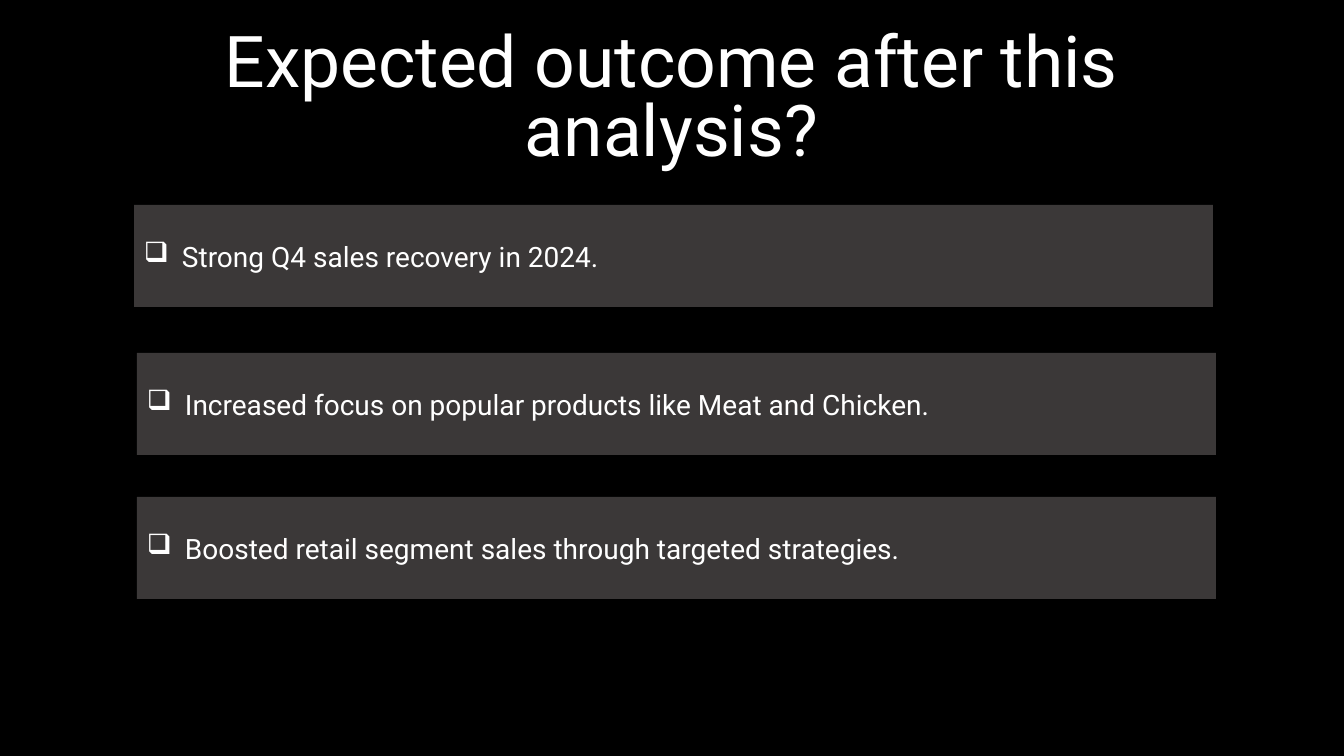
from dataclasses import dataclass

from lxml import etree
from pptx import Presentation
from pptx.dml.color import RGBColor
from pptx.enum.shapes import MSO_SHAPE
from pptx.enum.text import MSO_ANCHOR, MSO_AUTO_SIZE, PP_ALIGN
from pptx.oxml.ns import qn
from pptx.util import Emu, Pt

RECTANGLE = MSO_SHAPE.RECTANGLE
MIDDLE, BOTTOM = MSO_ANCHOR.MIDDLE, MSO_ANCHOR.BOTTOM
LEFT, CENTER = PP_ALIGN.LEFT, PP_ALIGN.CENTER
NO_AUTOFIT = MSO_AUTO_SIZE.NONE

PIXELS_PER_INCH = 100.8
FONT = "Roboto"
BLACK, WHITE, CHARCOAL = "000000", "FFFFFF", "3B3838"
BOX_WIDTH, BOX_HEIGHT = 1079, 102
BULLET, BULLET_INDENT = "❑", 38


@dataclass
class Outcome:
    left: int
    top: int
    text: str


OUTCOMES = [
    Outcome(134, 205, "Strong Q4 sales recovery in 2024."),
    Outcome(137, 353, "Increased focus on popular products like Meat and Chicken."),
    Outcome(137, 497, "Boosted retail segment sales through targeted strategies."),
]


def px(length: int) -> Emu:
    return Emu(round(length * 914400 / PIXELS_PER_INCH))


def color(hex_string: str) -> RGBColor:
    return RGBColor.from_string(hex_string)


def write_text(shape, text: str, *, size: int, align, anchor, line_spacing: float = 1.0):
    frame = shape.text_frame
    frame.word_wrap = True
    frame.auto_size = NO_AUTOFIT
    frame.vertical_anchor = anchor
    paragraph = frame.paragraphs[0]
    paragraph.alignment = align
    paragraph.line_spacing = line_spacing
    run = paragraph.add_run()
    run.text = text
    run.font.name = FONT
    run.font.size = Pt(size)
    run.font.color.rgb = color(WHITE)
    return paragraph


def add_bullet(paragraph) -> None:
    properties = paragraph._p.get_or_add_pPr()
    properties.set("marL", str(px(BULLET_INDENT)))
    properties.set("indent", str(-px(BULLET_INDENT)))
    etree.SubElement(properties, qn("a:buChar"), char=BULLET)


def add_title(slide, text: str) -> None:
    title = slide.shapes.title
    title.left, title.top, title.width, title.height = map(px, (101, 68, 1141, 107))
    write_text(title, text, size=51, align=CENTER, anchor=BOTTOM, line_spacing=0.8)


def add_outcome(slide, outcome: Outcome) -> None:
    bounds = map(px, (outcome.left, outcome.top, BOX_WIDTH, BOX_HEIGHT))
    box = slide.shapes.add_shape(RECTANGLE, *bounds)
    box.shadow.inherit = False
    box.fill.solid()
    box.fill.fore_color.rgb = color(CHARCOAL)
    box.line.fill.background()
    add_bullet(write_text(box, outcome.text, size=20, align=LEFT, anchor=MIDDLE))


def main() -> None:
    presentation = Presentation()
    presentation.slide_width, presentation.slide_height = px(1344), px(756)
    title_only = presentation.slide_layouts[5]
    slide = presentation.slides.add_slide(title_only)
    slide.background.fill.solid()
    slide.background.fill.fore_color.rgb = color(BLACK)
    add_title(slide, "Expected outcome after this analysis?")
    for outcome in OUTCOMES:
        add_outcome(slide, outcome)
    presentation.save("out.pptx")


if __name__ == "__main__":
    main()
